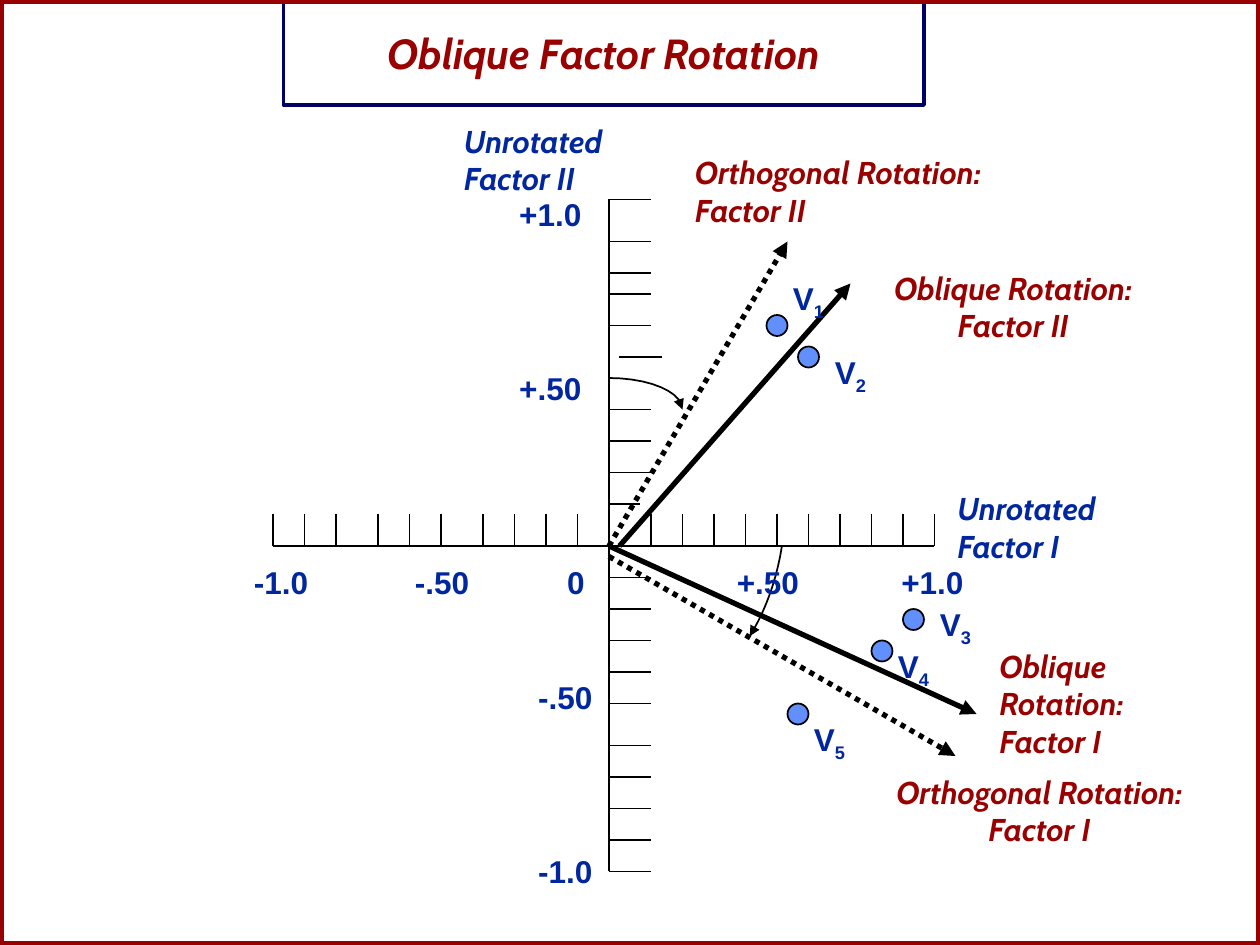
"""Build the oblique factor rotation slide."""
from dataclasses import dataclass

from lxml import etree
from pptx import Presentation
from pptx.dml.color import RGBColor
from pptx.enum.dml import MSO_LINE
from pptx.enum.shapes import MSO_CONNECTOR, MSO_SHAPE
from pptx.enum.text import MSO_AUTO_SIZE, MSO_ANCHOR, PP_ALIGN
from pptx.oxml.ns import qn
from pptx.util import Pt

LEFT, MID = PP_ALIGN.LEFT, PP_ALIGN.CENTER
DOT = MSO_LINE.ROUND_DOT
STRAIGHT = MSO_CONNECTOR.STRAIGHT
RING, BOX = MSO_SHAPE.FLOWCHART_CONNECTOR, MSO_SHAPE.RECTANGLE
GROW, CENTRE = MSO_AUTO_SIZE.SHAPE_TO_FIT_TEXT, MSO_ANCHOR.MIDDLE


@dataclass(frozen=True)
class Theme:
    red: RGBColor = RGBColor(0x99, 0x00, 0x00)
    blue: RGBColor = RGBColor(0x00, 0x27, 0x9F)
    navy: RGBColor = RGBColor(0x00, 0x00, 0x66)
    dot: RGBColor = RGBColor(0x61, 0x8F, 0xFD)
    black: RGBColor = RGBColor(0x00, 0x00, 0x00)
    white: RGBColor = RGBColor(0xFF, 0xFF, 0xFF)
    head: Pt = Pt(24)
    text: Pt = Pt(18)


theme = Theme()
name = {"name": "Cabin", "size": theme.text, "bold": True, "italic": True}
mark = {"name": "Arial", "size": theme.text, "bold": True, "italic": False}
head = {**name, "size": theme.head}


def say(shape, lines, look, tint, align=LEFT, gap=0, tabs=()):
    frame = shape.text_frame
    frame.word_wrap = True
    frame.auto_size = GROW
    for i, line in enumerate(lines):
        para = frame.add_paragraph() if i else frame.paragraphs[0]
        para.alignment = align
        para.space_before = Pt(gap if i else 0)
        if tabs:
            stops = etree.SubElement(para._p.get_or_add_pPr(), qn("a:tabLst"))
            for stop in tabs:
                etree.SubElement(stops, qn("a:tab"), pos=str(Pt(stop)), algn="l")
        base, _, sub = line.partition("_")
        for part in filter(None, (base, sub)):
            run = para.add_run()
            run.text = part
            for key, value in look.items():
                setattr(run.font, key, value)
            run.font.color.rgb = tint
            if part is sub:
                run._r.get_or_add_rPr().set("baseline", "-25000")


def ink(shape, width, tint=theme.black, dash=None, arrow=False):
    shape.line.color.rgb = tint
    shape.line.width = Pt(width)
    if dash:
        shape.line.dash_style = dash
    if arrow:
        edge = shape._element.spPr.find(qn("a:ln"))
        etree.SubElement(edge, qn("a:tailEnd"), type="triangle")


deck = Presentation()
deck.slide_width, deck.slide_height = Pt(720), Pt(540)
slide = deck.slides.add_slide(deck.slide_layouts[5])
shapes = slide.shapes

title = shapes.title
place = {"left": 162, "top": 12, "width": 366, "height": 36}
for key, value in place.items():
    setattr(title, key, Pt(value))
title.fill.solid()
title.fill.fore_color.rgb = theme.white
title.text_frame.vertical_anchor = CENTRE
ink(title, 2.25, theme.navy)
say(title, ["Oblique Factor Rotation"], head, theme.red, MID)

frame = shapes.add_shape(BOX, 0, 0, Pt(720), Pt(540))
frame.shadow.inherit = False
frame.fill.background()
ink(frame, 4.5, theme.red)

ox, oy = 348, 312
cols = [156, 174, 192, 216, 234, 252, 276, 294, 312, 330,
        *range(372, 535, 18)]
rows = [114, 138, 156, 168, 186, 234, 252, 270,
        *range(330, 403, 18), *range(426, 499, 18)]
lines = [
    (ox, 114, ox, 498, 0.75, None, False),
    (156, oy, 534, oy, 0.75, None, False),
    *[(x, 294, x, oy, 1, None, False) for x in cols],
    *[(ox, y, 372, y, 1, None, False) for y in rows],
    (354, 204, 378, 204, 1, None, False),
    (ox, 288, 366, 288, 1, None, False),
    (ox, 318, ox, 336, 1, None, False),
    (ox, oy, 558, 408, 3, None, True),
    (ox, oy, 450, 138, 3, DOT, True),
    (ox, 318, 546, 432, 3, DOT, True),
    (354, oy, 486, 162, 3, None, True),
]
for x1, y1, x2, y2, width, dash, arrow in lines:
    line = shapes.add_connector(STRAIGHT, Pt(x1), Pt(y1), Pt(x2), Pt(y2))
    ink(line, width, dash=dash, arrow=arrow)
    etree.SubElement(line._element.spPr, qn("a:effectLst"))

curves = [
    [(348, 216), (371, 216), (390, 224), (390, 234)],
    [(446.8, 312), (444, 331), (437, 350), (428.4, 363.5)],
]
steps = 10
for curve in curves:
    points = []
    for i in range(steps + 1):
        t = i / steps
        parts = ((1 - t) ** 3, 3 * t * (1 - t) ** 2, 3 * t * t * (1 - t), t ** 3)
        points.append([Pt(sum(p * q for p, q in zip(parts, axis)))
                       for axis in zip(*curve)])
    pen = shapes.build_freeform(*points[0])
    pen.add_line_segments(points[1:], close=False)
    sweep = pen.convert_to_shape()
    sweep.shadow.inherit = False
    sweep.fill.background()
    ink(sweep, 1, arrow=True)

for x, y in [(438, 180), (456, 198), (516, 348), (498, 366), (450, 402)]:
    dot = shapes.add_shape(RING, Pt(x), Pt(y), Pt(12), Pt(12))
    dot.shadow.inherit = False
    dot.fill.solid()
    dot.fill.fore_color.rgb = theme.dot
    ink(dot, 1)

labels = [
    (258, 66, 120, 50, ["Unrotated Factor II"], name, theme.blue),
    (540, 276, 138, 50, ["Unrotated Factor I"], name, theme.blue),
    (564, 366, 120, 72, ["Oblique Rotation: Factor I"], name, theme.red),
    (390, 84, 204, 50, ["Orthogonal Rotation: Factor II"], name, theme.red),
    (498, 438, 192, 50, ["Orthogonal Rotation: Factor I"], name, theme.red, MID),
    (486, 150, 186, 50, ["Oblique Rotation: Factor II"], name, theme.red, MID),
    (138, 318, 204, 29, ["-1.0\t-.50\t0"], mark, theme.blue, LEFT, 0, (92, 179)),
    (354, 318, 208, 29, ["\t+.50\t+1.0"], mark, theme.blue, LEFT, 0, (60, 154)),
    (294, 384, 58, 127, ["-.50", "-1.0"], mark, theme.blue, MID, 78),
    (288, 108, 53, 127, ["+1.0", "+.50"], mark, theme.blue, MID, 78),
]
spots = [(438, 156), (462, 198), (522, 342), (498, 366), (450, 408)]
for i, (x, y) in enumerate(spots, 1):
    labels.append((x, y, 48, 32, [f"V_{i}"], mark, theme.blue, MID))
for x, y, width, height, *rest in labels:
    say(shapes.add_textbox(Pt(x), Pt(y), Pt(width), Pt(height)), *rest)

deck.save("out.pptx")
